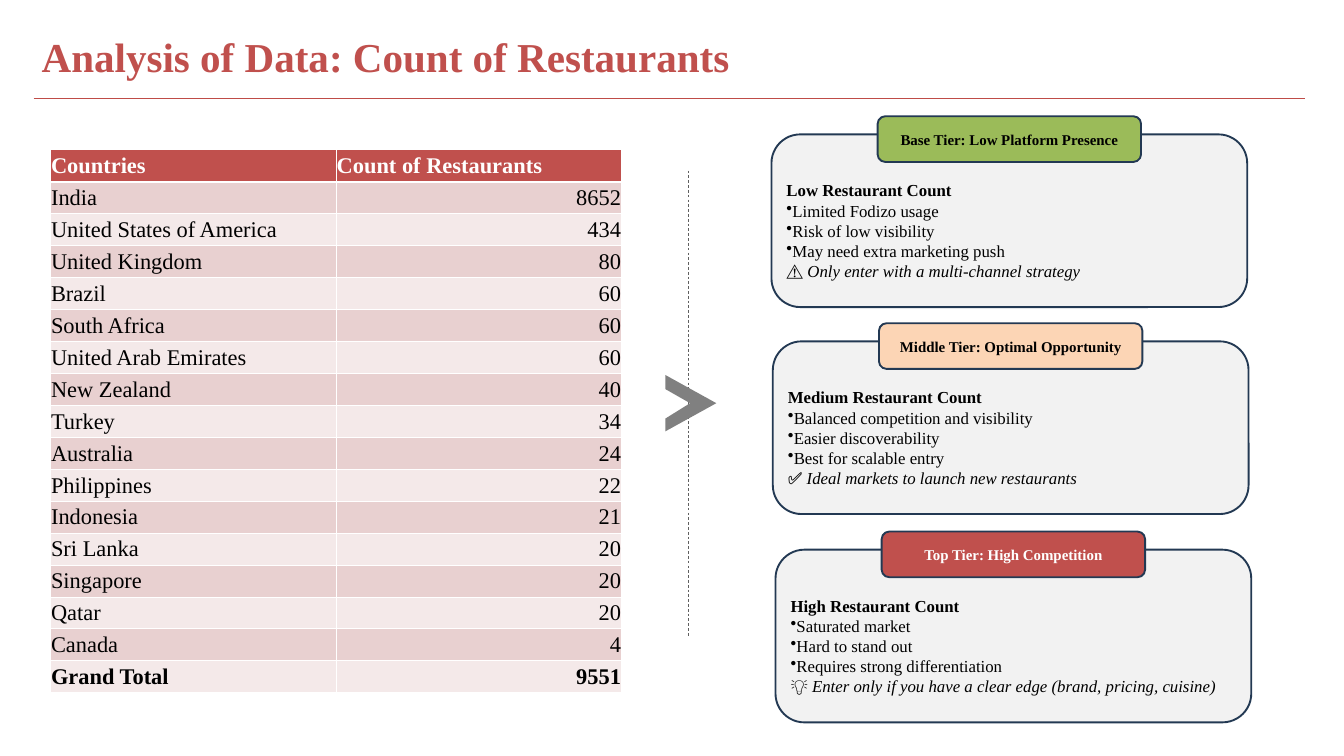
from lxml import etree
from pptx import Presentation
from pptx.dml.color import RGBColor
from pptx.enum.dml import MSO_LINE
from pptx.enum.shapes import MSO_CONNECTOR, MSO_SHAPE
from pptx.enum.text import MSO_ANCHOR, MSO_AUTO_SIZE, PP_ALIGN
from pptx.oxml.ns import qn
from pptx.util import Inches, Pt

FONT = "Times New Roman"
LEFT, CENTER, RIGHT = PP_ALIGN.LEFT, PP_ALIGN.CENTER, PP_ALIGN.RIGHT
MIDDLE = MSO_ANCHOR.MIDDLE
NO_FIT = MSO_AUTO_SIZE.NONE
DASH = MSO_LINE.DASH
ROUND = MSO_SHAPE.ROUNDED_RECTANGLE
STRAIGHT = MSO_CONNECTOR.STRAIGHT

RED = RGBColor(0xC0, 0x50, 0x4D)
RULE = RGBColor(0xBF, 0x4C, 0x48)
PINK = RGBColor(0xE8, 0xD0, 0xD0)
PALE = RGBColor(0xF4, 0xE9, 0xE9)
GREEN = RGBColor(0x9B, 0xBB, 0x59)
PEACH = RGBColor(0xFC, 0xD5, 0xB5)
NAVY = RGBColor(0x23, 0x39, 0x53)
LIGHT = RGBColor(0xF2, 0xF2, 0xF2)
GRAY = RGBColor(0x80, 0x80, 0x80)
DARK = RGBColor(0x60, 0x60, 0x60)
BLACK = RGBColor(0, 0, 0)
WHITE = RGBColor(0xFF, 0xFF, 0xFF)

ROWS = [
    ("Countries", "Count of Restaurants"),
    ("India", "8652"),
    ("United States of America", "434"),
    ("United Kingdom", "80"),
    ("Brazil", "60"),
    ("South Africa", "60"),
    ("United Arab Emirates", "60"),
    ("New Zealand", "40"),
    ("Turkey", "34"),
    ("Australia", "24"),
    ("Philippines", "22"),
    ("Indonesia", "21"),
    ("Sri Lanka", "20"),
    ("Singapore", "20"),
    ("Qatar", "20"),
    ("Canada", "4"),
    ("Grand Total", "9551"),
]

TIERS = [
    (11.54, 8.18, RED, WHITE, "Top Tier: High Competition", "High Restaurant Count",
     ["Saturated market", "Hard to stand out", "Requires strong differentiation"],
     "💡 ", "Enter only if you have a clear edge (brand, pricing, cuisine)"),
    (11.5, 5.08, PEACH, BLACK, "Middle Tier: Optimal Opportunity", "Medium Restaurant Count",
     ["Balanced competition and visibility", "Easier discoverability", "Best for scalable entry"],
     "✅ ", "Ideal markets to launch new restaurants"),
    (11.48, 2, GREEN, BLACK, "Base Tier: Low Platform Presence", "Low Restaurant Count",
     ["Limited Fodizo usage", "Risk of low visibility", "May need extra marketing push"],
     "⚠️ ", "Only enter with a multi-channel strategy"),
]


def style(para, size, color, bold=False, align=LEFT):
    para.alignment = align
    font = para.font
    font.name, font.size, font.bold = FONT, Pt(size), bold
    font.color.rgb = color


def add_title(slide, text):
    title = slide.shapes.title
    title.left, title.top = Inches(0.52), Inches(0.42)
    title.width, title.height = Inches(17.92), Inches(0.83)
    frame = title.text_frame
    frame.text = text
    frame.auto_size = NO_FIT
    frame.vertical_anchor = MIDDLE
    style(frame.paragraphs[0], 44, RED, True)


def add_line(slide, x1, y1, x2, y2, color, dash=None):
    line = slide.shapes.add_connector(STRAIGHT, Inches(x1), Inches(y1), Inches(x2), Inches(y2))
    line.line.color.rgb = color
    line.line.width = Pt(0.75)
    if dash:
        line.line.dash_style = dash
    etree.SubElement(line._element.spPr, qn("a:effectLst"))


def set_edges(cell, top, bottom):
    props = cell._tc.get_or_add_tcPr()
    edges = (("L", 1), ("R", 1), ("T", top), ("B", bottom))
    for place, (side, width) in enumerate(edges):
        edge = etree.Element(qn(f"a:ln{side}"), w=str(Pt(width)))
        fill = etree.SubElement(edge, qn("a:solidFill"))
        etree.SubElement(fill, qn("a:srgbClr"), val=str(WHITE))
        props.insert(place, edge)


def add_grid(slide, rows):
    frame = slide.shapes.add_table(len(rows), 2, Inches(0.75), Inches(2.23), Inches(8.5), Inches(8.08))
    table = frame.table
    table.horz_banding = False
    last = len(rows) - 1
    for i, row in enumerate(rows):
        head = i == 0
        for j, text in enumerate(row):
            cell = table.cell(i, j)
            cell.text = text
            cell.vertical_anchor = MIDDLE
            cell.margin_left = cell.margin_right = cell.margin_top = Inches(0.01)
            cell.margin_bottom = 0
            cell.fill.solid()
            cell.fill.fore_color.rgb = RED if head else PINK if i % 2 else PALE
            set_edges(cell, 3 if i == 1 else 1, 3 if head else 1)
            style(cell.text_frame.paragraphs[0], 24, WHITE if head else BLACK,
                  i in (0, last), RIGHT if j and not head else LEFT)


def add_arrow(slide):
    points = [(9.9, 5.58), (9.9, 5.79), (10.27, 6), (9.9, 6.23), (9.9, 6.42), (10.66, 6)]
    points = [(Inches(x), Inches(y)) for x, y in points]
    builder = slide.shapes.build_freeform(*points[0])
    builder.add_line_segments(points[1:])
    arrow = builder.convert_to_shape()
    arrow.shadow.inherit = False
    arrow.fill.solid()
    arrow.fill.fore_color.rgb = GRAY
    arrow.line.fill.background()


def add_box(slide, x, y, width, height, fill):
    box = slide.shapes.add_shape(ROUND, Inches(x), Inches(y), Inches(width), Inches(height))
    box.shadow.inherit = False
    box.fill.solid()
    box.fill.fore_color.rgb = fill
    box.line.color.rgb = NAVY
    box.line.width = Pt(2)
    box.text_frame.word_wrap = True
    box.text_frame.vertical_anchor = MIDDLE
    return box.text_frame


def add_bullet(frame, text):
    para = frame.add_paragraph()
    para.text = text
    style(para, 18, BLACK)
    props = para._p.get_or_add_pPr()
    props.set("marL", "0")
    props.set("indent", "0")
    props.insert(0, etree.Element(qn("a:buChar"), char="•"))
    return para


def add_tier(slide, x, y, fill, ink, label, head, points, icon, advice):
    body = add_box(slide, x, y, 7.08, 2.57, LIGHT)
    body.margin_top = Inches(0.34)
    body.text = head
    style(body.paragraphs[0], 18, BLACK, True)
    for point in points:
        para = add_bullet(body, point)
    para.add_line_break()
    para.add_run().text = icon
    run = para.add_run()
    run.text = advice
    run.font.italic = True

    tag = add_box(slide, x + 1.58, y - 0.27, 3.92, 0.68, fill)
    tag.text = label
    style(tag.paragraphs[0], 16, ink, True, CENTER)


def main():
    deck = Presentation()
    deck.slide_width, deck.slide_height = Inches(20), Inches(11.25)
    slide = deck.slides.add_slide(deck.slide_layouts[5])
    add_title(slide, "Analysis of Data: Count of Restaurants")
    add_line(slide, 0.5, 1.46, 19.42, 1.46, RULE)
    add_grid(slide, ROWS)
    add_line(slide, 10.24, 2.54, 10.24, 9.46, DARK, DASH)
    add_arrow(slide)
    for tier in TIERS:
        add_tier(slide, *tier)
    deck.save("out.pptx")


if __name__ == "__main__":
    main()
